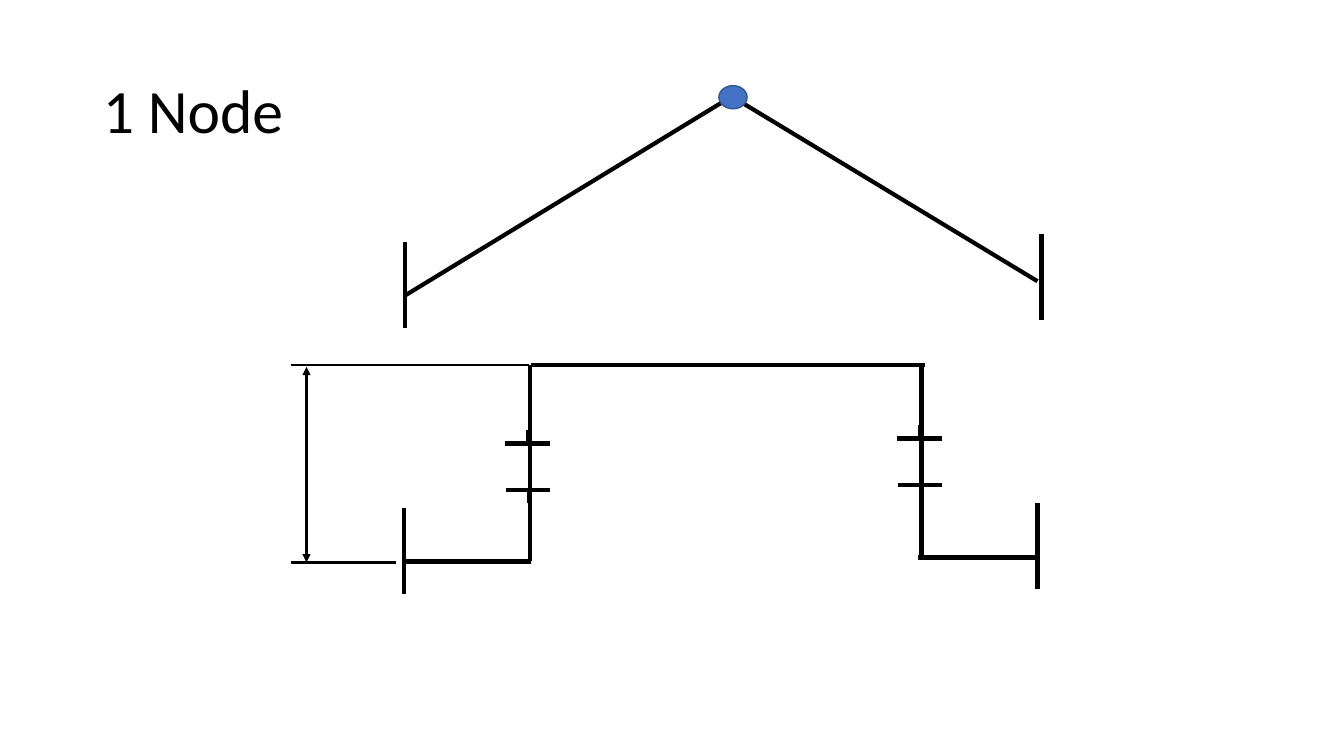
import pptx
import pptx.util
import pptx.dml.color
import pptx.enum.shapes
import pptx.enum.text
import pptx.oxml
import pptx.oxml.ns
from pptx.util import Inches

# Content: lines as (x1, y1, x2, y2) in inches
TITLE = "1 Node"
COLORS = {"ink": "000000", "node": "4472C4", "node_edge": "325491"}
FONT = "Calibri"
HEAVY, THIN = 3, 1.5

ROOF = [(7.22, 0.98, 4.02, 2.93), (10.29, 2.79, 7.18, 0.91)]
FRAME = [
    (5.27, 3.62, 9.17, 3.62),
    (9.14, 5.55, 9.14, 3.62),
    (5.26, 5.57, 5.26, 3.62),
    (5.27, 5.57, 4.01, 5.57),
    (10.29, 5.53, 9.1, 5.53),
]
SUPPORT_HEIGHT = 0.85
SUPPORTS = [(4.02, 2.4), (10.33, 2.32), (4.01, 5.04), (10.29, 4.99)]
BREAK_MARK = [
    (0.44, 0.59, 0.01, 0.59),
    (0.44, 0.13, 0, 0.13),
    (0.24, 0.72, 0.24, 0.6),
    (0.23, 0.12, 0.23, 0),
]
BREAK_ORIGINS = [(5.01, 4.27), (8.9, 4.22)]
EXTENSION_LINES = [(5.25, 3.62, 2.89, 3.62), (2.89, 5.58, 3.93, 5.58)]
HEIGHT_ARROW = (3.04, 5.58, 3.04, 3.64)
NODE = (7.13, 0.85, 0.28, 0.23)


def color(name):
    return pptx.dml.color.RGBColor.from_string(COLORS[name])


def add_line(shapes, ends, width):
    line = shapes.add_connector(
        pptx.enum.shapes.MSO_CONNECTOR.STRAIGHT, *map(Inches, ends))
    line.line.color.rgb = color("ink")
    line.line.width = pptx.util.Pt(width)
    properties = line._element.spPr
    properties.append(pptx.oxml.parse_xml(
        "<a:effectLst %s/>" % pptx.oxml.ns.nsdecls("a")))
    return line


presentation = pptx.Presentation()
presentation.slide_width = Inches(13.33)
presentation.slide_height = Inches(7.5)
slide = presentation.slides.add_slide(presentation.slide_layouts[5])

# Title
title = slide.shapes.title
title.left, title.top, title.width, title.height = map(
    Inches, (0.92, 0.4, 11.5, 1.45))
title.text_frame.vertical_anchor = pptx.enum.text.MSO_ANCHOR.MIDDLE
paragraph = title.text_frame.paragraphs[0]
paragraph.alignment = pptx.enum.text.PP_ALIGN.LEFT
paragraph.line_spacing = 0.9
run = paragraph.add_run()
run.text = TITLE
run.font.name = FONT
run.font.size = pptx.util.Pt(44)
run.font.color.rgb = color("ink")

# Members and supports
supports = [(x, y, x, y + SUPPORT_HEIGHT) for x, y in SUPPORTS]
for ends in FRAME + ROOF + supports:
    add_line(slide.shapes, ends, HEAVY)

# Break marks on both columns
for left, top in BREAK_ORIGINS:
    group = slide.shapes.add_group_shape()
    for x1, y1, x2, y2 in BREAK_MARK:
        add_line(group.shapes,
                 (left + x1, top + y1, left + x2, top + y2), HEAVY)

# Height dimension
arrow = add_line(slide.shapes, HEIGHT_ARROW, THIN)
for end in ("headEnd", "tailEnd"):
    arrow.line._get_or_add_ln().append(pptx.oxml.parse_xml(
        '<a:%s %s type="triangle"/>' % (end, pptx.oxml.ns.nsdecls("a"))))
for ends in EXTENSION_LINES:
    add_line(slide.shapes, ends, THIN)

# Node at the apex
node = slide.shapes.add_shape(
    pptx.enum.shapes.MSO_SHAPE.OVAL, *map(Inches, NODE))
node.shadow.inherit = False
node.fill.solid()
node.fill.fore_color.rgb = color("node")
node.line.color.rgb = color("node_edge")
node.line.width = pptx.util.Pt(1)

presentation.save("out.pptx")
